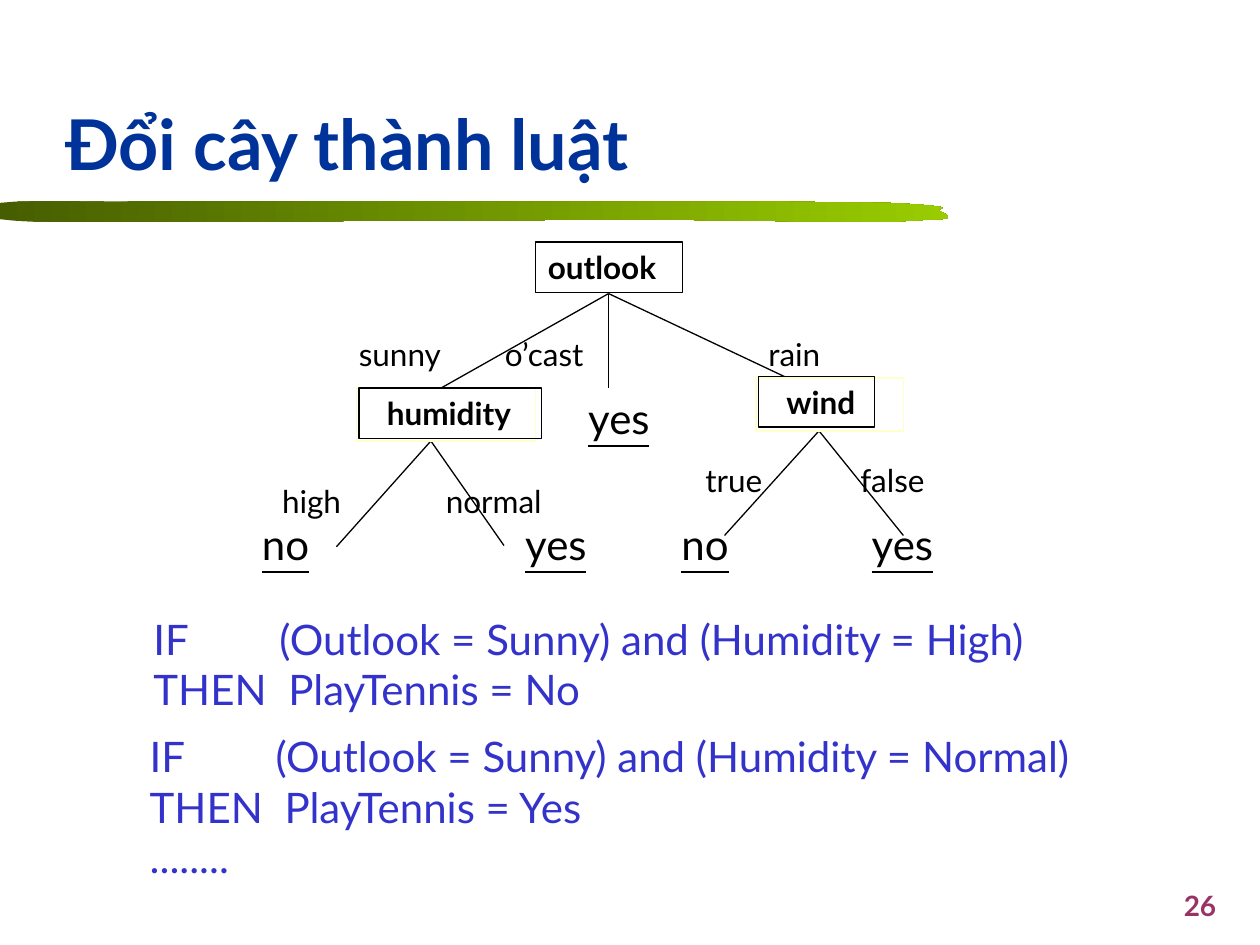
"""Build the slide that turns a decision tree into rules."""
from lxml import etree
from pptx import Presentation
from pptx.dml.color import RGBColor
from pptx.enum import shapes, text
from pptx.oxml import ns
from pptx.util import Inches, Pt

FONT = "Lato"
BLACK, BLUE = "000000", "3333CC"
LEFT, RIGHT = text.PP_ALIGN.LEFT, text.PP_ALIGN.RIGHT

STROKE_START = (6.04, 1.6)
STROKE_TOP_RIGHT = [
    ((6.39, 1.6), (6.81, 1.61), (7.04, 1.61)),
    ((7.28, 1.62), (7.38, 1.63), (7.45, 1.64)),
    ((7.52, 1.65), (7.44, 1.66), (7.45, 1.67)),
    ((7.47, 1.68), (7.51, 1.7), (7.52, 1.71)),
    ((7.52, 1.72), (7.55, 1.73), (7.47, 1.74)),
    ((7.4, 1.74), (7.27, 1.75), (7.09, 1.76)),
    ((6.9, 1.76), (6.66, 1.76), (6.38, 1.76)),
    ((6.1, 1.75), (5.8, 1.75), (5.43, 1.75)),
    ((5.07, 1.74), (4.57, 1.75), (4.17, 1.75)),
    ((3.76, 1.75), (3.51, 1.75), (3.01, 1.75)),
    ((2.5, 1.76), (1.64, 1.76), (1.14, 1.76)),
    ((0.64, 1.76), (0.19, 1.77), (0, 1.74)),
]
STROKE_LEFT_TOP = [
    ((0.19, 1.58), (0.75, 1.61), (1.14, 1.6)),
    ((1.53, 1.6), (1.88, 1.6), (2.34, 1.6)),
    ((2.81, 1.59), (3.5, 1.6), (3.93, 1.6)),
    ((4.36, 1.6), (4.57, 1.6), (4.92, 1.6)),
    ((5.27, 1.6), (5.68, 1.6), (6.04, 1.6)),
]

BRANCHES = {
    (4.83, 2.33): [(3.5, 3.08), (4.83, 3.08), (6.25, 3)],
    (3.42, 3.5): [(2.67, 4.34), (4, 4.33)],
    (6.5, 3.42): [(5.75, 4.25), (7.17, 4.25)],
}
PALE_FRAMES = [
    ((4.33, 1.75, 1.17, 0.42), "FFFFFF"),
    ((2.83, 3.08, 1.42, 0.42), "FFFFCC"),
    ((6, 3, 1.17, 0.42), "FFFFCC"),
]
NODES = [
    ("outlook", (4.25, 1.92, 1.17, 0.4), 0.1),
    ("humidity", (2.85, 3.08, 1.45, 0.4), 0.22),
    ("wind", (6.02, 2.99, 0.92, 0.4), 0.22),
]
EDGE_LABELS = {
    2.58: [("sunny", 2.75), ("o’cast", 3.91), ("rain", 6)],
    3.75: [("high", 2.14), ("normal", 3.44)],
    3.58: [("true", 5.5), ("false", 6.73)],
}
LEAVES = [("no", 1.98, 4.07), ("yes", 4.07, 4.07), ("yes", 4.57, 3.07),
          ("no", 5.31, 4.07), ("yes", 6.82, 4.07)]
LEAF_WIDTHS = {"no": 0.61, "yes": 0.72}
RULES = [
    ((1.12, 4.82, 7.5, 0.9),
     ["IF\t(Outlook = Sunny) and (Humidity = High)", "THEN\tPlayTennis = No"]),
    ((1.09, 5.75, 7.93, 1.3),
     ["IF\t(Outlook = Sunny) and (Humidity = Normal)", "THEN\tPlayTennis = Yes", "........"]),
]
RULE_TABS = {"IF": 1, "THEN": 1.07}


def rgb(value):
    return RGBColor.from_string(value)


def write(shape, lines, size, color=BLACK, bold=False, underline=False,
          align=LEFT, anchor=text.MSO_ANCHOR.TOP, spacing=1, inset=0.1):
    frame = shape.text_frame
    frame.text = "\n".join(lines)
    frame.word_wrap = True
    frame.vertical_anchor = anchor
    frame.margin_left = Inches(inset)
    for para in frame.paragraphs:
        para.alignment = align
        para.line_spacing = spacing
        for span in para.runs:
            span.font.name = FONT
            span.font.size = Pt(size)
            span.font.bold = bold
            span.font.underline = underline
            span.font.color.rgb = rgb(color)
    return frame


def add_text(page, place, lines, size, **style):
    box = page.shapes.add_textbox(*map(Inches, place))
    return write(box, lines, size, **style)


def add_frame(page, place, color):
    frame = page.shapes.add_shape(shapes.MSO_SHAPE.RECTANGLE, *map(Inches, place))
    frame.shadow.inherit = False
    frame.fill.background()
    frame.line.color.rgb = rgb(color)
    frame.line.width = Pt(0.75)
    return frame


def add_branch(page, start, end):
    branch = page.shapes.add_connector(
        shapes.MSO_CONNECTOR.STRAIGHT, *map(Inches, start + end))
    branch.line.color.rgb = rgb(BLACK)
    branch.line.width = Pt(0.75)
    etree.SubElement(branch._element.spPr, ns.qn("a:effectLst"))


def trace(start, curves, steps=6):
    points = []
    for first, second, end in curves:
        for step in range(1, steps + 1):
            t = step / steps
            weights = ((1 - t) ** 3, 3 * t * (1 - t) ** 2, 3 * t * t * (1 - t), t ** 3)
            corners = (start, first, second, end)
            points.append(tuple(
                Inches(sum(w * corner[axis] for w, corner in zip(weights, corners)))
                for axis in (0, 1)))
        start = end
    return points


def add_brush_stroke(page):
    outline = trace(STROKE_START, STROKE_TOP_RIGHT) + [(0, Inches(1.61))]
    outline += trace((0, 1.61), STROKE_LEFT_TOP)
    builder = page.shapes.build_freeform(*map(Inches, STROKE_START))
    builder.add_line_segments(outline, close=True)
    stroke = builder.convert_to_shape()
    stroke.shadow.inherit = False
    stroke.line.fill.background()
    stroke.fill.gradient()
    stroke.fill.gradient_angle = 0
    for stop, color in zip(stroke.fill.gradient_stops, ("475E00", "99CC00")):
        stop.color.rgb = rgb(color)


def add_rule_tabs(frame):
    for para in frame.paragraphs:
        keyword = para.text.split("\t")[0]
        if keyword in RULE_TABS:
            tabs = etree.SubElement(para._p.get_or_add_pPr(), ns.qn("a:tabLst"))
            etree.SubElement(tabs, ns.qn("a:tab"),
                             pos=str(Inches(RULE_TABS[keyword])), algn="l")


def main():
    deck = Presentation()
    deck.slide_width, deck.slide_height = Inches(10), Inches(7.5)
    page = deck.slides.add_slide(deck.slide_layouts[6])

    add_brush_stroke(page)
    add_text(page, (7.67, 7, 2.08, 0.5), ["26"], 16, color="993366", bold=True, align=RIGHT)
    add_text(page, (0.42, 0.67, 8.5, 0.92), ["Đổi cây thành luật"], 40,
             color="003399", bold=True, anchor=text.MSO_ANCHOR.MIDDLE)

    for start, ends in BRANCHES.items():
        for end in ends:
            add_branch(page, start, end)
    for place, color in PALE_FRAMES:
        add_frame(page, place, color)
    for name, place, inset in NODES:
        write(add_frame(page, place, BLACK), [name], 18, bold=True, inset=inset)
    for top, labels in EDGE_LABELS.items():
        for label, left in labels:
            add_text(page, (left, top, 1.1, 0.43), [label], 18, spacing=1.1)
    for answer, left, top in LEAVES:
        add_text(page, (left, top, LEAF_WIDTHS[answer], 0.5), [answer], 24, underline=True)
    for place, lines in RULES:
        add_rule_tabs(add_text(page, place, lines, 24, color=BLUE))

    deck.save("out.pptx")


if __name__ == "__main__":
    main()
